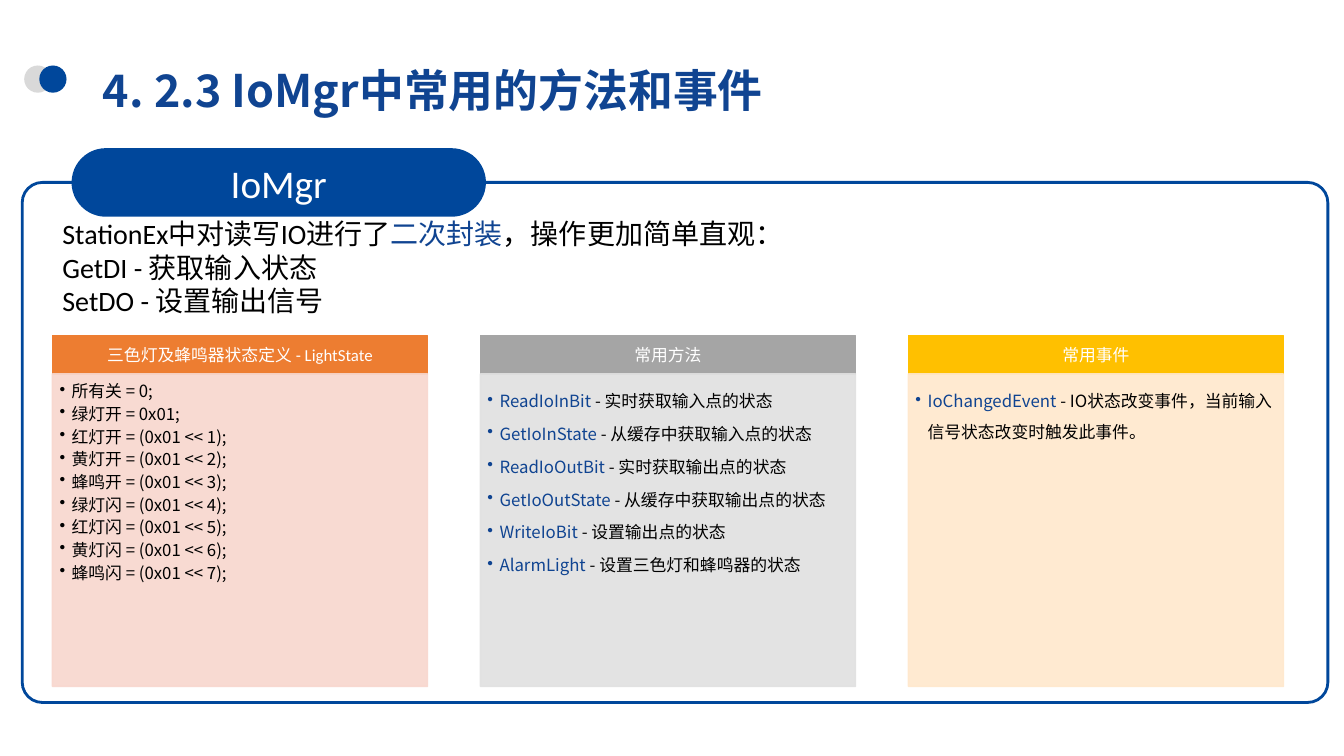
from dataclasses import dataclass

from lxml import etree
from pptx import Presentation
from pptx.dml.color import RGBColor
from pptx.enum.shapes import MSO_SHAPE as Shape
from pptx.enum.text import MSO_ANCHOR as Anchor, PP_ALIGN as Align
from pptx.oxml.ns import qn
from pptx.util import Inches, Pt


@dataclass(frozen=True)
class Theme:
    navy: str = "00479B"
    accent: str = "104491"
    pale: str = "D9D9D9"
    black: str = "000000"
    white: str = "FFFFFF"
    latin: str = "Calibri"
    chinese: str = "Noto Sans CJK SC"
    title: int = 32
    label: int = 28
    intro: int = 20
    body: int = 12


THEME = Theme()

# Each paragraph is a list of (text, colour) pairs
INTRO = [
    [("StationEx中对读写IO进行了", THEME.black), ("二次封装", THEME.accent),
     ("，操作更加简单直观：", THEME.black)],
    [("GetDI - 获取输入状态", THEME.black)],
    [("SetDO - 设置输出信号", THEME.black)],
]
LIGHTS = ["所有关 = 0;", "绿灯开 = 0x01;"] + [
    f"{name} = (0x01 << {shift});" for shift, name in enumerate(
        ["红灯开", "黄灯开", "蜂鸣开", "绿灯闪", "红灯闪", "黄灯闪", "蜂鸣闪"], 1)]
METHODS = [
    ("ReadIoInBit", "实时获取输入点的状态"),
    ("GetIoInState", "从缓存中获取输入点的状态"),
    ("ReadIoOutBit", "实时获取输出点的状态"),
    ("GetIoOutState", "从缓存中获取输出点的状态"),
    ("WriteIoBit", "设置输出点的状态"),
    ("AlarmLight", "设置三色灯和蜂鸣器的状态"),
]
EVENTS = [("IoChangedEvent", "IO状态改变事件，当前输入信号状态改变时触发此事件。")]


def described(members):
    return [[(f"{name} ", THEME.accent), (f"- {text}", THEME.black)]
            for name, text in members]


# Heading, heading colour, body colour, line spacing, paragraphs
COLUMNS = [
    ("三色灯及蜂鸣器状态定义 - LightState", "ED7D31", "F8D7CE", 1.0,
     [[(light, THEME.black)] for light in LIGHTS]),
    ("常用方法", "A5A5A5", "E1E1E1", 1.5, described(METHODS)),
    ("常用事件", "FFC000", "FFE8CC", 1.5, described(EVENTS)),
]


def rgb(colour):
    return RGBColor.from_string(colour)


def add_shape(page, kind, box, fill=None, line=None, width=1):
    shape = page.shapes.add_shape(kind, *map(Inches, box))
    shape.shadow.inherit = False
    if fill:
        shape.fill.solid()
        shape.fill.fore_color.rgb = rgb(fill)
    else:
        shape.fill.background()
    if line:
        shape.line.color.rgb = rgb(line)
        shape.line.width = Pt(width)
    else:
        shape.line.fill.background()
    return shape


def set_margins(frame, left, top, right, bottom):
    frame.margin_left, frame.margin_top = Inches(left), Inches(top)
    frame.margin_right, frame.margin_bottom = Inches(right), Inches(bottom)


def write(frame, paragraphs, size, font, align=Align.LEFT, bold=None):
    frame.word_wrap = True
    for index, spans in enumerate(paragraphs):
        para = frame.add_paragraph() if index else frame.paragraphs[0]
        para.alignment = align
        for text, colour in spans:
            span = para.add_run()
            span.text = text
            span.font.size, span.font.name, span.font.bold = Pt(size), font, bold
            span.font.color.rgb = rgb(colour)


def add_bullet(para):
    props = para._p.get_or_add_pPr()
    props.set("marL", str(Inches(0.12)))
    props.set("indent", str(-Inches(0.12)))
    etree.SubElement(props, qn("a:buChar")).set("char", "•")


def set_opacity(shape, percent):
    """Apply one opacity to both the fill and the line."""
    for colour in shape._element.spPr.iter(qn("a:srgbClr")):
        etree.SubElement(colour, qn("a:alpha")).set("val", str(percent * 1000))


def build_title(page, left, top, width, height):
    # Twin dots beside the heading
    for offset, colour in ((0, THEME.pale), (0.15, THEME.navy)):
        add_shape(page, Shape.OVAL, (left + offset, top + 0.25, 0.27, 0.27), colour)
    # Heading
    title = page.shapes.title
    title.left, title.top = Inches(left + 0.68), Inches(top)
    title.width, title.height = Inches(width - 0.68), Inches(height)
    frame = title.text_frame
    frame.vertical_anchor = Anchor.MIDDLE
    write(frame, [[("4. 2.3 IoMgr中常用的方法和事件", THEME.accent)]],
          THEME.title, THEME.chinese, bold=True)
    frame.paragraphs[0].line_spacing = 1.4


def build_panel(page, left, top, width, height):
    # Outline
    outline = add_shape(page, Shape.ROUNDED_RECTANGLE, (left, top, width, height),
                        line=THEME.navy, width=2)
    outline.adjustments[0] = 0.039
    # Label on the upper edge
    pill = add_shape(page, Shape.ROUNDED_RECTANGLE,
                     (left + 0.49, top - 0.34, 4.11, 0.68), THEME.navy)
    pill.adjustments[0] = 0.5
    pill.text_frame.vertical_anchor = Anchor.MIDDLE
    write(pill.text_frame, [[("IoMgr", THEME.white)]],
          THEME.label, THEME.latin, Align.CENTER)
    # Introduction
    intro = page.shapes.add_textbox(*map(Inches, (left + 0.3, top + 0.29, 7.45, 1.62)))
    write(intro.text_frame, INTRO, THEME.intro, THEME.latin)


def build_column(page, left, top, width, height, column):
    heading, strong, tint, spacing, paragraphs = column
    head_height = 0.38
    # Heading bar
    head = add_shape(page, Shape.RECTANGLE, (left, top, width, head_height),
                     strong, strong)
    head.text_frame.vertical_anchor = Anchor.MIDDLE
    set_margins(head.text_frame, 0.09, 0.05, 0.09, 0.05)
    write(head.text_frame, [[(heading, THEME.white)]],
          THEME.body, THEME.latin, Align.CENTER)
    # Bulleted body
    body = add_shape(page, Shape.RECTANGLE,
                     (left, top + head_height, width, height - head_height), tint, tint)
    set_opacity(body, 90)
    frame = body.text_frame
    frame.vertical_anchor = Anchor.TOP
    set_margins(frame, 0.07, 0.07, 0.09, 0.1)
    write(frame, paragraphs, THEME.body, THEME.chinese)
    for para in frame.paragraphs:
        add_bullet(para)
        para.line_spacing = spacing
        para.space_after = Pt(1.8)


def main():
    deck = Presentation()
    deck.slide_width, deck.slide_height = Inches(13.33), Inches(7.5)
    page = deck.slides.add_slide(deck.slide_layouts[5])
    build_title(page, 0.24, 0.4, 10.61, 0.77)
    build_panel(page, 0.22, 1.81, 12.95, 5.16)
    for index, column in enumerate(COLUMNS):
        build_column(page, 0.52 + index * 4.245, 3.33, 3.72, 3.48, column)
    deck.save("out.pptx")


if __name__ == "__main__":
    main()
